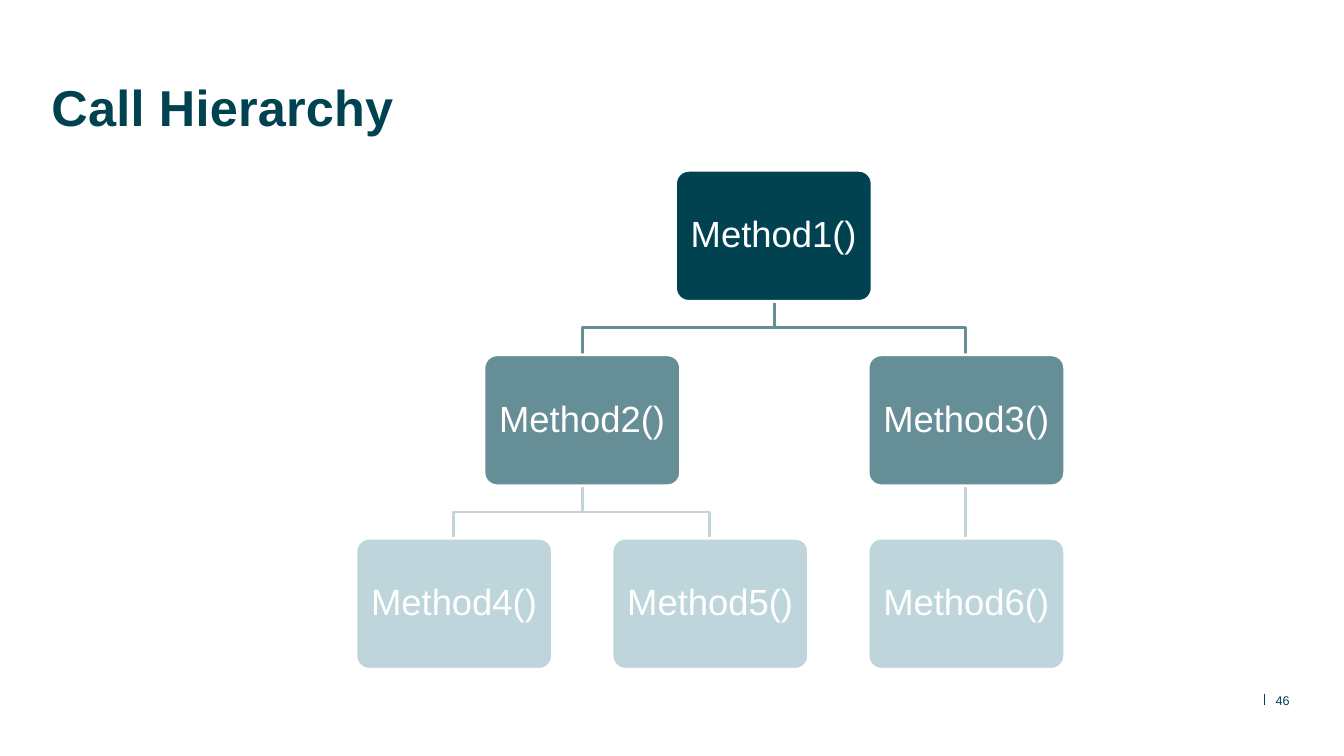
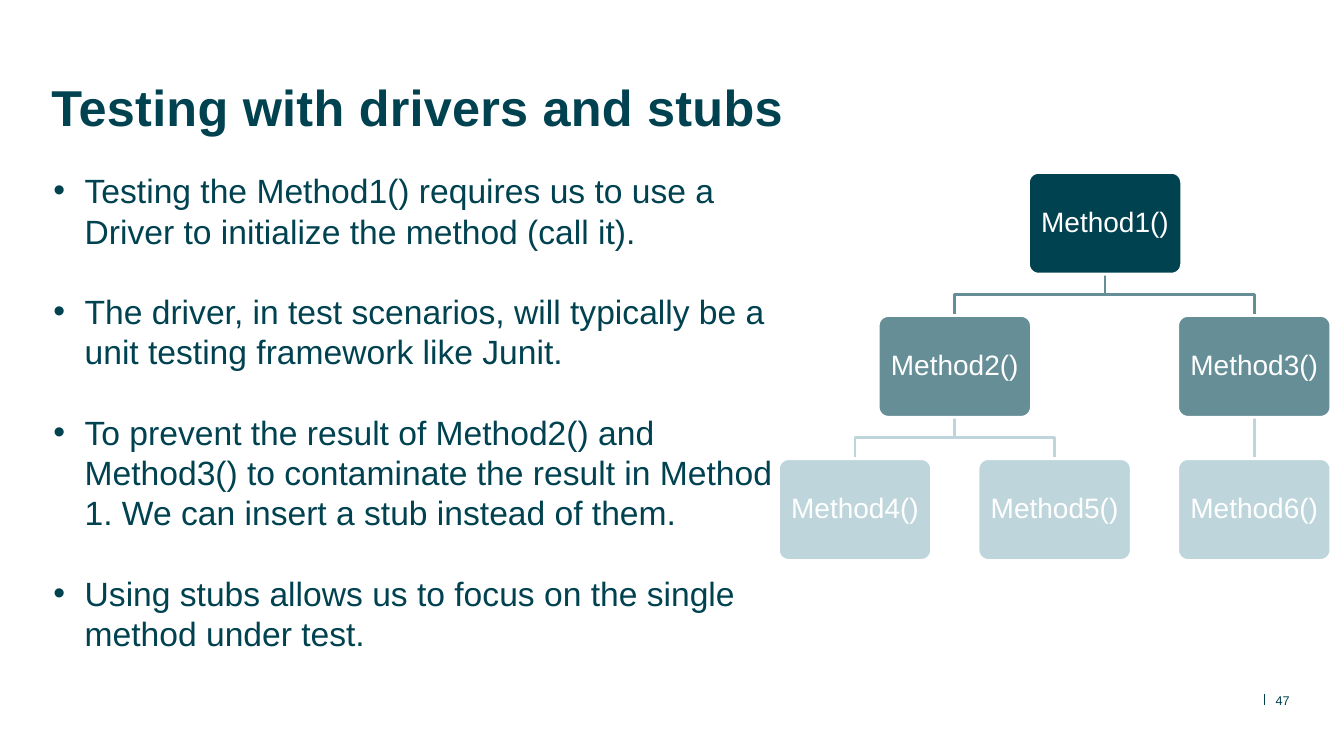
from lxml import etree
from pptx import Presentation
from pptx.dml.color import RGBColor
from pptx.enum.shapes import MSO_CONNECTOR, MSO_SHAPE
from pptx.enum.text import MSO_ANCHOR, MSO_AUTO_SIZE, PP_ALIGN
from pptx.oxml.ns import qn
from pptx.util import Pt

STRAIGHT = MSO_CONNECTOR.STRAIGHT
ROUNDED = MSO_SHAPE.ROUNDED_RECTANGLE
TOP, MIDDLE = MSO_ANCHOR.TOP, MSO_ANCHOR.MIDDLE
LEFT, CENTER, RIGHT = PP_ALIGN.LEFT, PP_ALIGN.CENTER, PP_ALIGN.RIGHT

EMU_PER_PX = 9144
FONT = "Arial"
COLORS = {
    "ink": "004250",
    "rule": "00414E",
    "middle": "668E96",
    "pale": "BED6DB",
    "white": "FFFFFF",
}
LEVEL_COLORS = ["ink", "middle", "pale"]
TITLE_ONLY = 5

METHODS = {
    "Method1()": (1.25, 0),
    "Method2()": (0.5, 1),
    "Method3()": (2, 1),
    "Method4()": (0, 2),
    "Method5()": (1, 2),
    "Method6()": (2, 2),
}
CALLS = [
    ("Method1()", "Method2()"),
    ("Method1()", "Method3()"),
    ("Method2()", "Method4()"),
    ("Method2()", "Method5()"),
    ("Method3()", "Method6()"),
]
BULLETS = [
    "Testing the Method1() requires us to use a Driver to initialize the method (call it).",
    "The driver, in test scenarios, will typically be a unit testing framework like Junit.",
    "To prevent the result of Method2() and Method3() to contaminate the result in Method 1. "
    "We can insert a stub instead of them.",
    "Using stubs allows us to focus on the single method under test.",
]


def px(*lengths):
    return [round(length) * EMU_PER_PX for length in lengths]


def color(name):
    return RGBColor.from_string(COLORS[name])


def set_line(shape, name, width):
    shape.line.color.rgb = color(name)
    shape.line.width = Pt(width)


def add_bullet(para, indent):
    properties = para._p.get_or_add_pPr()
    hanging = px(indent)[0]
    properties.set("marL", str(hanging))
    properties.set("indent", str(-hanging))
    bullet_font = etree.SubElement(properties, qn("a:buFont"))
    bullet_font.set("typeface", FONT)
    bullet = etree.SubElement(properties, qn("a:buChar"))
    bullet.set("char", "•")


def write_text(box, paragraphs, size, ink="ink", bold=False, align=LEFT, anchor=TOP,
               wrap=True, line_spacing=None, gap=0, indent=0, letter_spacing=0):
    frame = box.text_frame
    frame.auto_size = MSO_AUTO_SIZE.NONE
    frame.word_wrap = wrap
    frame.vertical_anchor = anchor
    frame.margin_left = frame.margin_right = frame.margin_top = frame.margin_bottom = 0
    for index, text in enumerate(paragraphs):
        para = frame.paragraphs[0] if index == 0 else frame.add_paragraph()
        if indent:
            add_bullet(para, indent)
        para.alignment = align
        para.space_before = Pt(gap if index else 0)
        if line_spacing:
            para.line_spacing = line_spacing
        span = para.add_run()
        span.text = text
        span.font.name = FONT
        span.font.size = Pt(size)
        span.font.bold = bold
        span.font.color.rgb = color(ink)
        if letter_spacing:
            span.font._element.set("spc", str(letter_spacing))


def add_text(slide, bounds, paragraphs, size, **text_format):
    box = slide.shapes.add_textbox(*px(*bounds))
    write_text(box, paragraphs, size, **text_format)


def add_line(slide, ends, name, width):
    line = slide.shapes.add_connector(STRAIGHT, *px(*ends))
    set_line(line, name, width)
    etree.SubElement(line._element.spPr, qn("a:effectLst"))


def add_elbow(slide, start, end, name, width):
    middle = (start[1] + end[1]) / 2
    points = [start, (start[0], middle), (end[0], middle), end]
    first, *others = [px(*point) for point in points]
    builder = slide.shapes.build_freeform(*first)
    builder.add_line_segments(others, close=False)
    elbow = builder.convert_to_shape()
    elbow.fill.background()
    elbow.shadow.inherit = False
    set_line(elbow, name, width)


def add_method(slide, name, bounds, fill, size):
    box = slide.shapes.add_shape(ROUNDED, *px(*bounds))
    box.adjustments[0] = 0.1
    box.shadow.inherit = False
    box.fill.solid()
    box.fill.fore_color.rgb = color(fill)
    set_line(box, "white", 2)
    write_text(box, [name], size, ink="white", align=CENTER, anchor=MIDDLE,
               wrap=False, line_spacing=0.9)


def add_hierarchy(slide, left, top, width, height, column_step, row_step, size):
    places = {
        name: (left + column * column_step, top + level * row_step)
        for name, (column, level) in METHODS.items()
    }
    for caller, callee in CALLS:
        start = (places[caller][0] + width / 2, places[caller][1] + height)
        end = (places[callee][0] + width / 2, places[callee][1])
        line_color = LEVEL_COLORS[METHODS[callee][1]]
        if start[0] == end[0]:
            add_line(slide, (*start, *end), line_color, 2)
        else:
            add_elbow(slide, start, end, line_color, 2)
    for name, place in places.items():
        fill = LEVEL_COLORS[METHODS[name][1]]
        add_method(slide, name, (*place, width, height), fill, size)


def add_page(deck, title, number):
    slide = deck.slides.add_slide(deck.slide_layouts[TITLE_ONLY])
    heading = slide.shapes.title
    heading.left, heading.top, heading.width, heading.height = px(51, 83, 1228, 51)
    write_text(heading, [title], 36, bold=True, line_spacing=Pt(38), letter_spacing=20)
    add_line(slide, (1254, 689, 1254, 699), "rule", 0.75)
    add_text(slide, (1249, 681, 30, 28), [str(number)], 9, align=RIGHT, anchor=MIDDLE)
    return slide


def main():
    deck = Presentation()
    deck.slide_width, deck.slide_height = px(1333, 750)

    slide = add_page(deck, "Call Hierarchy", 46)
    add_hierarchy(slide, left=353, top=169, width=195, height=130,
                  column_step=254, row_step=182.5, size=26)

    slide = add_page(deck, "Testing with drivers and stubs", 47)
    add_text(slide, (53, 169, 732, 433), BULLETS, 24,
             line_spacing=Pt(28.75), gap=28.75, indent=31)
    add_hierarchy(slide, left=772, top=171, width=152, height=101,
                  column_step=198, row_step=142, size=20)

    deck.save("out.pptx")


if __name__ == "__main__":
    main()
